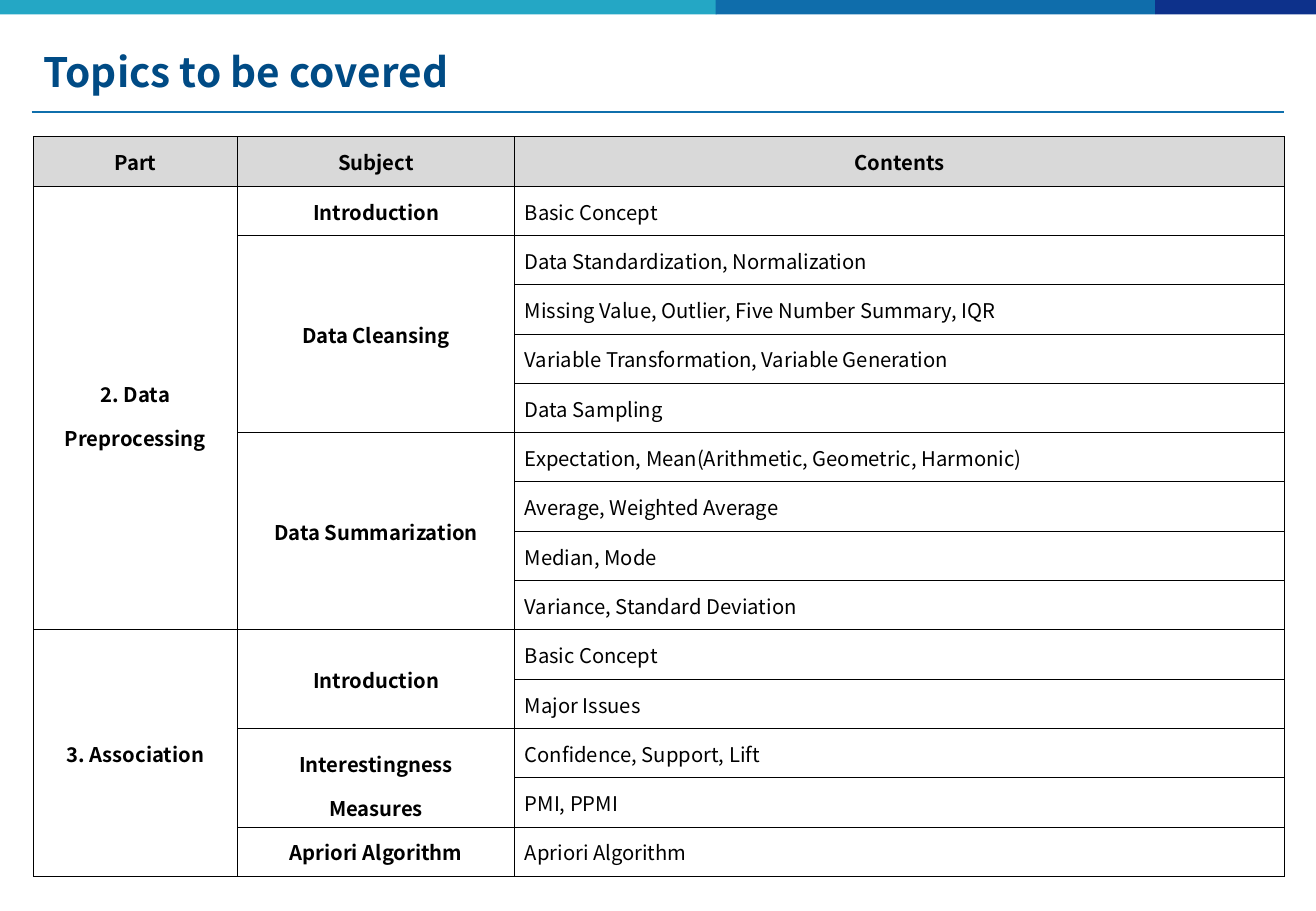
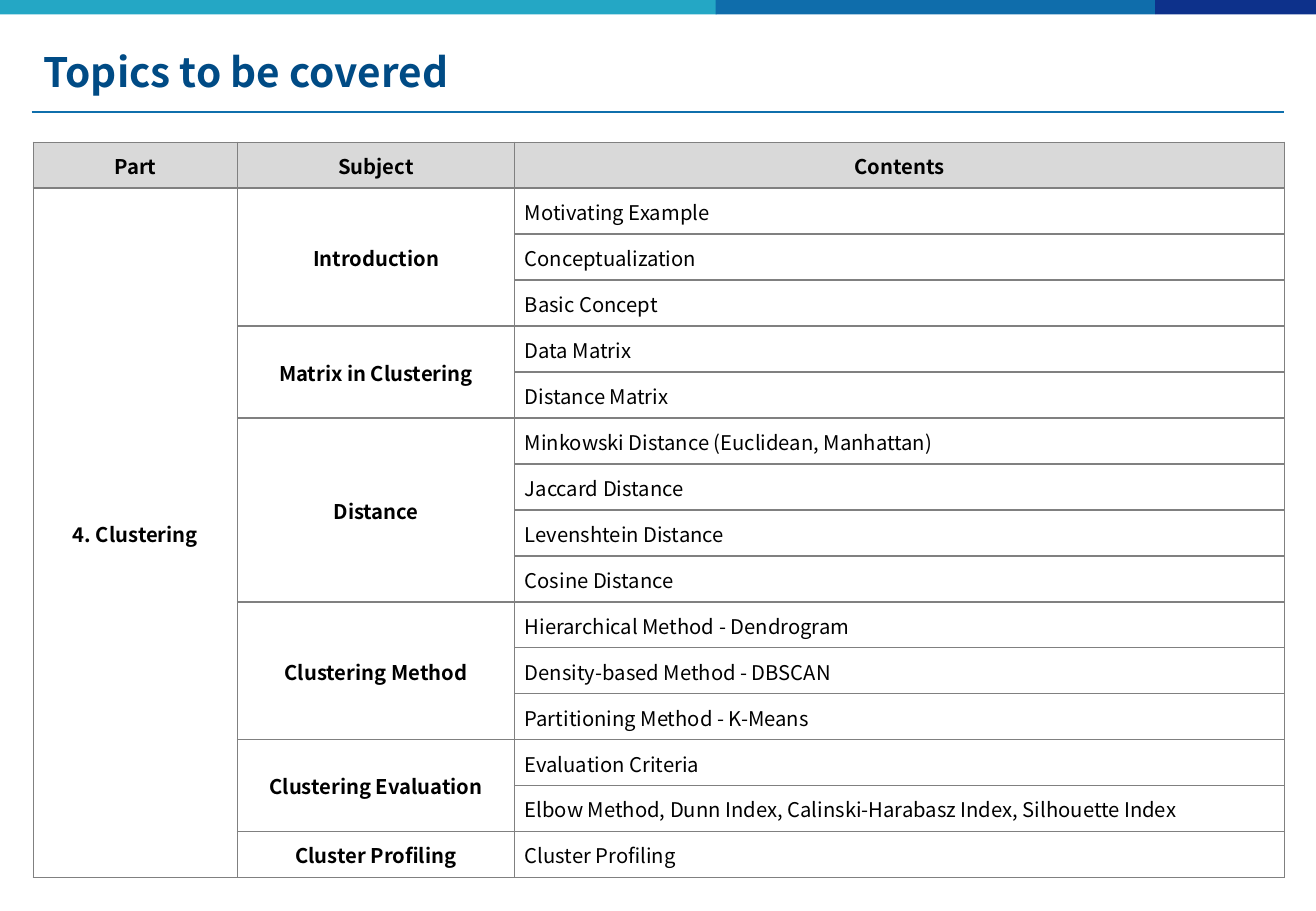
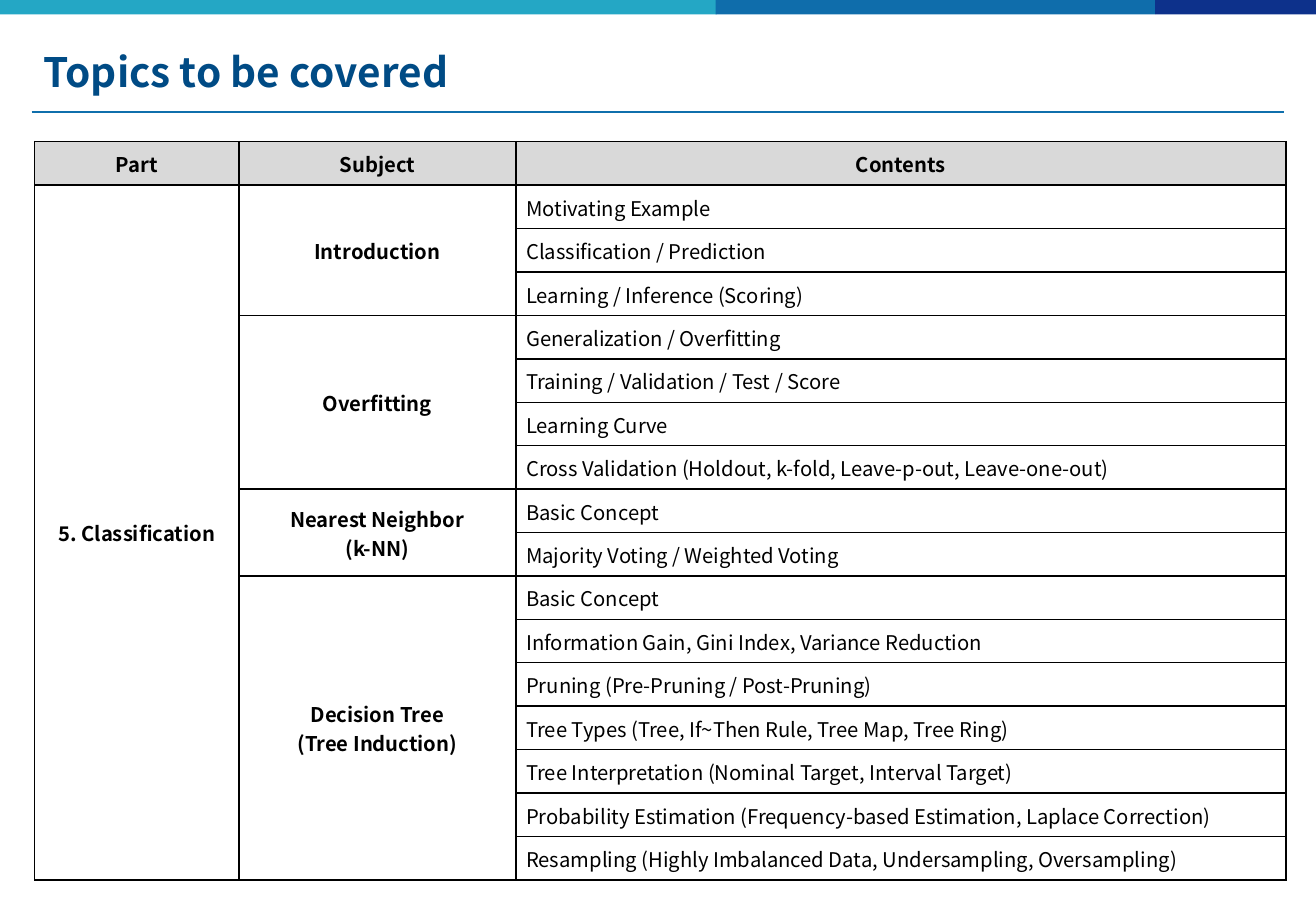
from dataclasses import dataclass

from lxml.etree import SubElement
from pptx import Presentation
from pptx.dml.color import RGBColor
from pptx.enum.shapes import MSO_CONNECTOR, MSO_SHAPE
from pptx.enum.text import MSO_ANCHOR, PP_ALIGN
from pptx.oxml.ns import qn
from pptx.util import Pt


@dataclass(frozen=True)
class Theme:
    font: str = "Noto Sans CJK KR"
    title: str = "004B85"
    rule: str = "0F6FAC"
    bands: tuple = ("24A7C5", "0F6DAB", "0D318B")
    text: str = "000000"
    header: str = "D9D9D9"
    body: str = "FFFFFF"
    black: str = "000000"
    gray: str = "808080"
    title_size: int = 24
    table_size: int = 12


THEME = Theme()
HEADERS = ("Part", "Subject", "Contents")
COLUMNS = (121, 164.2, 456.4)


def write(tf, text, size, color, bold=False, align=PP_ALIGN.LEFT, spacing=None):
    tf.text = text
    tf.word_wrap = True
    for p in tf.paragraphs:
        p.alignment = align
        p.line_spacing = spacing
        for r in p.runs:
            r.font.name = THEME.font
            r.font.size = Pt(size)
            r.font.bold = bold
            r.font.color.rgb = RGBColor.from_string(color)


class Deck:
    def __init__(self, theme, width, height):
        self.theme = theme
        self.prs = Presentation()
        self.prs.slide_width, self.prs.slide_height = Pt(width), Pt(height)
        self.layout = self.prs.slide_layouts.get_by_name("Title Only")
        self.s = None
        self.decorated = False

    def slide(self, title):
        self.s = self.prs.slides.add_slide(self.layout)
        if not self.decorated:
            self.decorate_layout()
        sp = self.s.shapes.title
        sp.left, sp.top, sp.width, sp.height = Pt(18.7), Pt(19.4), Pt(743), Pt(46)
        sp.text_frame.vertical_anchor = MSO_ANCHOR.MIDDLE
        write(sp.text_frame, title, self.theme.title_size, self.theme.title, bold=True)

    def decorate_layout(self):
        edges = ((-0.7, 425.5), (424.1, 260.6), (684.7, 95.3))
        shapes = [self.rule(18.7, 66.2, 761)]
        shapes += [self.band(left, width, color)
                   for (left, width), color in zip(edges, self.theme.bands)]
        for number, sp in enumerate(shapes, 101):
            sp.element.xpath("./*/p:cNvPr")[0].set("id", str(number))
            self.layout.shapes.element.append(sp.element)
        self.decorated = True

    def rule(self, left, top, right):
        sp = self.s.shapes.add_connector(
            MSO_CONNECTOR.STRAIGHT, Pt(left), Pt(top), Pt(right), Pt(top))
        sp.line.color.rgb = RGBColor.from_string(self.theme.rule)
        sp.line.width = Pt(1)
        SubElement(sp.element.spPr, qn("a:effectLst"))
        return sp

    def band(self, left, width, color):
        sp = self.s.shapes.add_shape(
            MSO_SHAPE.RECTANGLE, Pt(left), Pt(0), Pt(width), Pt(8.5))
        sp.shadow.inherit = False
        sp.fill.solid()
        sp.fill.fore_color.rgb = RGBColor.from_string(color)
        sp.line.fill.background()
        return sp

    def border(self, cell, color, width):
        tcPr = cell._tc.get_or_add_tcPr()
        for side in ("a:lnL", "a:lnR", "a:lnT", "a:lnB"):
            ln = SubElement(tcPr, qn(side), w=str(Pt(width)))
            fill = SubElement(ln, qn("a:solidFill"))
            SubElement(fill, qn("a:srgbClr"), val=color)

    def cell_text(self, cell, text, left=0.7, **fmt):
        write(cell.text_frame, text, self.theme.table_size, self.theme.text, **fmt)
        cell.margin_left = Pt(left)

    def table(self, parts, left, top, height, line, line_width, spacing=None):
        count = 1 + sum(len(items) for _, subjects in parts for _, items in subjects)
        frame = self.s.shapes.add_table(
            count, len(COLUMNS), Pt(left), Pt(top), Pt(sum(COLUMNS)), Pt(height))
        table = frame.table
        for column, width in zip(table.columns, COLUMNS):
            column.width = Pt(width)
        for i, row in enumerate(table.rows):
            row.height = Pt(height / count)
            for cell in row.cells:
                self.border(cell, line, line_width)
                cell.fill.solid()
                cell.fill.fore_color.rgb = RGBColor.from_string(
                    self.theme.body if i else self.theme.header)
                cell.vertical_anchor = MSO_ANCHOR.MIDDLE
                cell.margin_left = cell.margin_right = cell.margin_top = Pt(0.7)
                cell.margin_bottom = Pt(0)
        for col, text in enumerate(HEADERS):
            self.heading(table, 0, col, 1, text)
        row = 1
        for part, subjects in parts:
            span = sum(len(items) for _, items in subjects)
            self.heading(table, row, 0, span, part, spacing)
            for subject, items in subjects:
                self.heading(table, row, 1, len(items), subject, spacing)
                for item in items:
                    self.cell_text(table.cell(row, 2), item, left=6.1)
                    row += 1

    def heading(self, table, row, col, span, text, spacing=None):
        cell = table.cell(row, col)
        if span > 1:
            cell.merge(table.cell(row + span - 1, col))
        self.cell_text(cell, text, bold=True, align=PP_ALIGN.CENTER,
                       spacing=spacing if "\n" in text else None)


PREPROCESSING = [
    ("2. Data\nPreprocessing", [
        ("Introduction", ["Basic Concept"]),
        ("Data Cleansing", [
            "Data Standardization, Normalization",
            "Missing Value, Outlier, Five Number Summary, IQR",
            "Variable Transformation, Variable Generation",
            "Data Sampling"]),
        ("Data Summarization", [
            "Expectation, Mean(Arithmetic, Geometric, Harmonic)",
            "Average, Weighted Average",
            "Median, Mode",
            "Variance, Standard Deviation"])]),
    ("3. Association", [
        ("Introduction", ["Basic Concept", "Major Issues"]),
        ("Interestingness\nMeasures", ["Confidence, Support, Lift", "PMI, PPMI"]),
        ("Apriori Algorithm", ["Apriori Algorithm"])]),
]

CLUSTERING = [
    ("4. Clustering", [
        ("Introduction", ["Motivating Example", "Conceptualization", "Basic Concept"]),
        ("Matrix in Clustering", ["Data Matrix", "Distance Matrix"]),
        ("Distance", [
            "Minkowski Distance (Euclidean, Manhattan)",
            "Jaccard Distance",
            "Levenshtein Distance",
            "Cosine Distance"]),
        ("Clustering Method", [
            "Hierarchical Method - Dendrogram",
            "Density-based Method - DBSCAN",
            "Partitioning Method - K-Means"]),
        ("Clustering Evaluation", [
            "Evaluation Criteria",
            "Elbow Method, Dunn Index, Calinski-Harabasz Index, Silhouette Index"]),
        ("Cluster Profiling", ["Cluster Profiling"])]),
]

CLASSIFICATION = [
    ("5. Classification", [
        ("Introduction", [
            "Motivating Example",
            "Classification / Prediction",
            "Learning / Inference (Scoring)"]),
        ("Overfitting", [
            "Generalization / Overfitting",
            "Training / Validation / Test / Score",
            "Learning Curve",
            "Cross Validation (Holdout, k-fold, Leave-p-out, Leave-one-out)"]),
        ("Nearest Neighbor\n(k-NN)", [
            "Basic Concept",
            "Majority Voting / Weighted Voting"]),
        ("Decision Tree\n(Tree Induction)", [
            "Basic Concept",
            "Information Gain, Gini Index, Variance Reduction",
            "Pruning (Pre-Pruning / Post-Pruning)",
            "Tree Types (Tree, If~Then Rule, Tree Map, Tree Ring)",
            "Tree Interpretation (Nominal Target, Interval Target)",
            "Probability Estimation (Frequency-based Estimation, Laplace Correction)",
            "Resampling (Highly Imbalanced Data, Undersampling, Oversampling)"])]),
]

TITLE = "Topics to be covered"

deck = Deck(THEME, 780, 540)

deck.slide(TITLE)
deck.table(PREPROCESSING, 19.8, 81, 438.5, THEME.black, 0.5, spacing=1.5)

deck.slide(TITLE)
deck.table(CLUSTERING, 19.8, 84.3, 436.2, THEME.gray, 1)

deck.slide(TITLE)
deck.table(CLASSIFICATION, 20.6, 84, 437.8, THEME.black, 1)

deck.prs.save("out.pptx")
